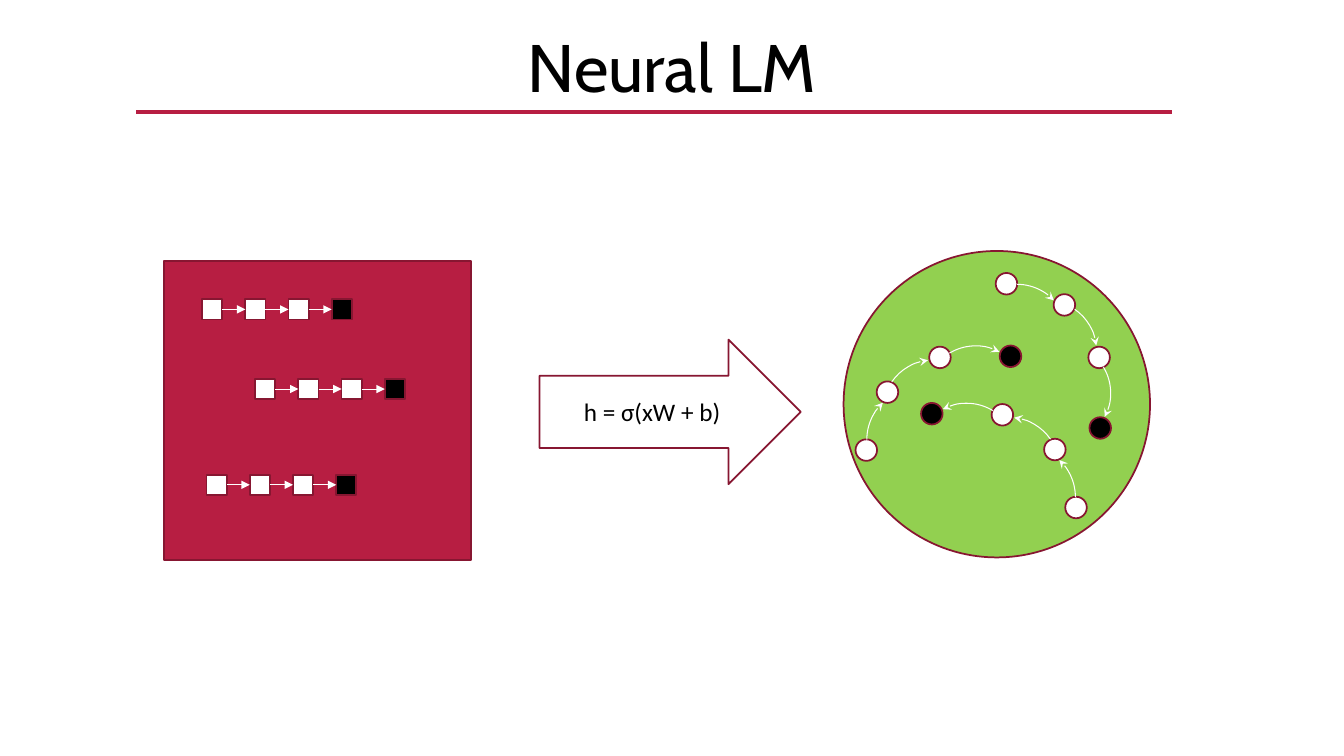
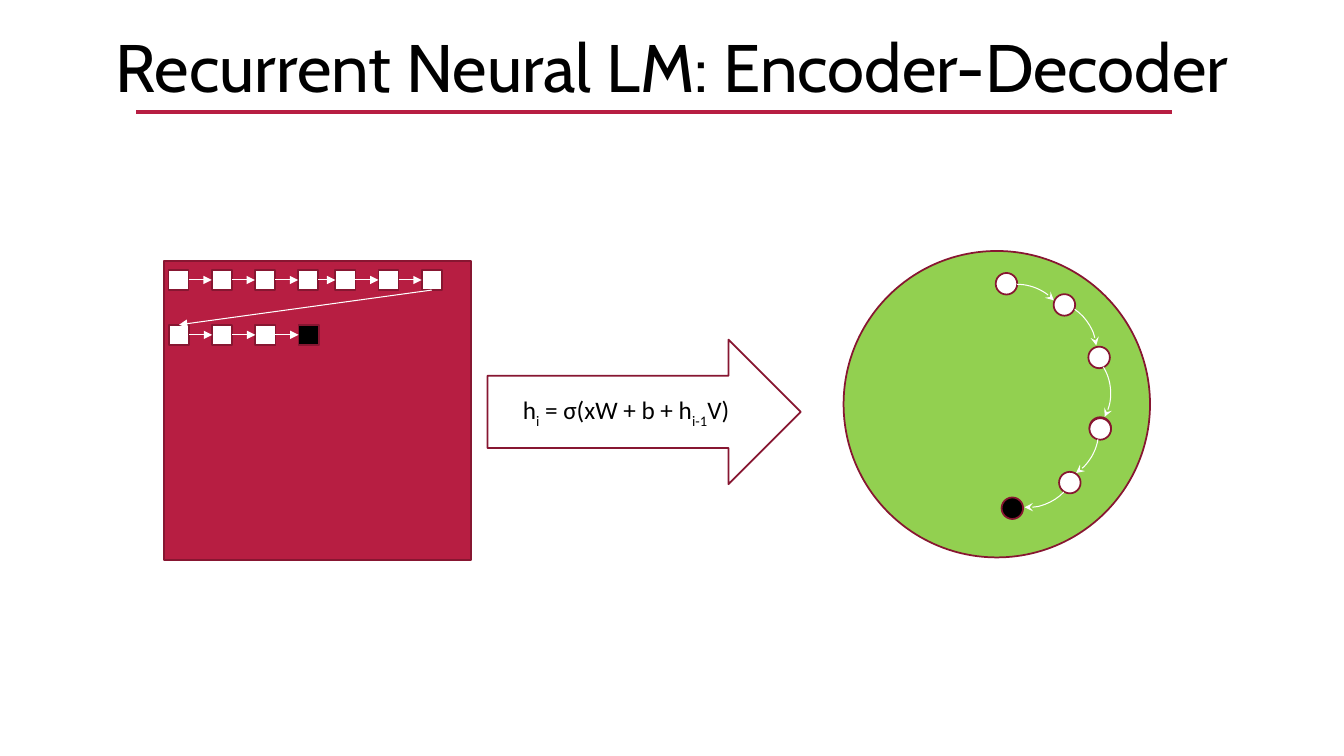
import math
from dataclasses import dataclass

import pptx
import pptx.dml.color
import pptx.enum.shapes
import pptx.enum.text
import pptx.oxml
import pptx.oxml.ns
import pptx.util

Pt = pptx.util.Pt
Shape = pptx.enum.shapes.MSO_SHAPE
Align = pptx.enum.text.PP_ALIGN
Anchor = pptx.enum.text.MSO_ANCHOR

CRIMSON = pptx.dml.color.RGBColor(0xB7, 0x1E, 0x42)
MAROON = pptx.dml.color.RGBColor(0x87, 0x16, 0x31)
GREEN = pptx.dml.color.RGBColor(0x92, 0xD0, 0x50)
WHITE = pptx.dml.color.RGBColor(0xFF, 0xFF, 0xFF)
BLACK = pptx.dml.color.RGBColor(0x00, 0x00, 0x00)

SLIDE_WIDTH, SLIDE_HEIGHT = 960, 540
TOKEN_SIZE, TOKEN_PITCH = 14.4, 30.85
STATE_SIZE, ARC_SIZE = 15.4, 72
ARROW_RIGHT, ARROW_TOP, ARROW_HEIGHT = 572, 242.6, 103.3
TOP, LEFT, BOTTOM, RIGHT = range(4)

STATE_OFFSETS = ((0, 0), (41.4, 15.1), (66.2, 52.6), (67, 103))
ARC_OFFSETS = ((7.6, 36.4), (28.4, 47.9), (38.5, 78.1))
ARC_ANGLES = ((270, 316.98), (304.51, 353.86), (328.67, 28.07))


@dataclass(frozen=True)
class Chain:
    left: float
    top: float
    count: int = 4
    ends_dark: bool = True


@dataclass(frozen=True)
class Trail:
    x: float
    y: float
    rotation: float = 0
    mirrored: bool = False
    count: int = 4
    ends_dark: bool = True

    def place(self, offset: tuple[float, float]) -> tuple[float, float]:
        dx, dy = offset
        if self.mirrored:
            dx = -dx
        turn = math.radians(self.rotation)
        return (self.x + dx * math.cos(turn) - dy * math.sin(turn),
                self.y + dx * math.sin(turn) + dy * math.cos(turn))


@dataclass(frozen=True)
class Run:
    text: str
    baseline: int = 0


def write_text(shape, runs: list[Run], *, size: float, font: str,
               color=BLACK, align=Align.CENTER, anchor=Anchor.TOP) -> None:
    frame = shape.text_frame
    frame.word_wrap = True
    frame.vertical_anchor = anchor
    paragraph = frame.paragraphs[0]
    paragraph.alignment = align
    for piece in runs:
        run = paragraph.add_run()
        run.text = piece.text
        run.font.size = Pt(size)
        run.font.name = font
        run.font.color.rgb = color
        if piece.baseline:
            run.font._element.set("baseline", str(piece.baseline * 1000))


def add_form(slide, kind, left: float, top: float, width: float, height: float,
             fill=None, line=MAROON, weight: float = 1.25):
    form = slide.shapes.add_shape(kind, Pt(left), Pt(top), Pt(width), Pt(height))
    form.shadow.inherit = False
    if fill is None:
        form.fill.background()
    else:
        form.fill.solid()
        form.fill.fore_color.rgb = fill
    form.line.color.rgb = line
    form.line.width = Pt(weight)
    return form


def add_arrowhead(line, style: str) -> None:
    tail = pptx.oxml.parse_xml(
        f'<a:tailEnd {pptx.oxml.ns.nsdecls("a")} type="{style}"/>')
    line.line._get_or_add_ln().append(tail)


def add_line(slide, color, weight: float, start=(0, 0), end=(0, 0)):
    line = slide.shapes.add_connector(
        pptx.enum.shapes.MSO_CONNECTOR.STRAIGHT, *map(Pt, (*start, *end)))
    line.line.color.rgb = color
    line.line.width = Pt(weight)
    line._element.spPr.append(
        pptx.oxml.parse_xml(f'<a:effectLst {pptx.oxml.ns.nsdecls("a")}/>'))
    return line


def link(slide, source, target, source_side: int = RIGHT,
         target_side: int = LEFT) -> None:
    step = add_line(slide, WHITE, 0.75)
    step.begin_connect(source, source_side)
    step.end_connect(target, target_side)
    add_arrowhead(step, "triangle")


def node_color(index: int, sequence: Chain | Trail):
    is_last = index == sequence.count - 1
    return BLACK if is_last and sequence.ends_dark else WHITE


def draw_chain(slide, chain: Chain) -> list:
    tokens = [
        add_form(slide, Shape.RECTANGLE, chain.left + index * TOKEN_PITCH,
                 chain.top, TOKEN_SIZE, TOKEN_SIZE, node_color(index, chain))
        for index in range(chain.count)
    ]
    for source, target in zip(tokens, tokens[1:]):
        link(slide, source, target)
    return tokens


def draw_transition(slide, trail: Trail, index: int) -> None:
    x, y = trail.place(ARC_OFFSETS[index])
    arc = add_form(slide, Shape.ARC, x - ARC_SIZE / 2, y - ARC_SIZE / 2,
                   ARC_SIZE, ARC_SIZE, line=WHITE, weight=0.75)
    for position, degrees in enumerate(ARC_ANGLES[index]):
        arc.adjustments[position] = degrees * 0.6
    arc.rotation = trail.rotation
    if trail.mirrored:
        arc._element.spPr.xfrm.set("flipH", "1")
    add_arrowhead(arc, "stealth")


def draw_trail(slide, trail: Trail) -> None:
    for index in range(trail.count):
        x, y = trail.place(STATE_OFFSETS[index])
        add_form(slide, Shape.OVAL, x - STATE_SIZE / 2, y - STATE_SIZE / 2,
                 STATE_SIZE, STATE_SIZE, node_color(index, trail))
        if index < trail.count - 1:
            draw_transition(slide, trail, index)


def draw_model(deck, title: str, chains: list[Chain], trails: list[Trail],
               formula: list[Run], arrow_left: float):
    slide = deck.slides.add_slide(deck.slide_layouts[6])
    add_form(slide, Shape.OVAL, 602.6, 179.3, 218.9, 218.9, GREEN)
    add_line(slide, CRIMSON, 2.5, (97.2, 79.9), (837.4, 79.9))
    heading = slide.shapes.add_textbox(Pt(0), Pt(14.4), Pt(SLIDE_WIDTH), Pt(65.5))
    write_text(heading, [Run(title)], size=48, font="Cabin")
    heading.text_frame.auto_size = pptx.enum.text.MSO_AUTO_SIZE.SHAPE_TO_FIT_TEXT
    add_form(slide, Shape.RECTANGLE, 117.4, 186.5, 218.9, 213.8, CRIMSON)
    rows = [draw_chain(slide, chain) for chain in chains]
    for trail in trails:
        draw_trail(slide, trail)
    mapping = add_form(slide, Shape.RIGHT_ARROW, arrow_left, ARROW_TOP,
                       ARROW_RIGHT - arrow_left, ARROW_HEIGHT)
    write_text(mapping, formula, size=18, font="Calibri", anchor=Anchor.MIDDLE)
    return slide, rows


def main() -> None:
    deck = pptx.Presentation()
    deck.slide_width, deck.slide_height = Pt(SLIDE_WIDTH), Pt(SLIDE_HEIGHT)
    first_trail = (718.9, 202.7)

    draw_model(
        deck, "Neural LM",
        [Chain(144.4, 213.8), Chain(182.3, 270.7), Chain(147.6, 339.1)],
        [Trail(*first_trail), Trail(618.8, 321.5, rotation=270),
         Trail(768.6, 362.5, rotation=90, mirrored=True)],
        [Run("h = σ(xW + b)")], arrow_left=385.4)

    recurrent, (opening, continuation, closing) = draw_model(
        deck, "Recurrent Neural LM: Encoder-Decoder",
        [Chain(120.4, 192.8, ends_dark=False),
         Chain(239.5, 192.8, count=3, ends_dark=False),
         Chain(120.7, 232)],
        [Trail(*first_trail),
         Trail(785.9, 306.4, rotation=99.5, count=3)],
        [Run("h"), Run("i", -25), Run(" = σ(xW + b + h"), Run("i-1", -25),
         Run("V)")], arrow_left=348.2)
    link(recurrent, opening[-1], continuation[0])
    link(recurrent, continuation[-1], closing[0], BOTTOM, TOP)

    deck.save("out.pptx")


if __name__ == "__main__":
    main()
